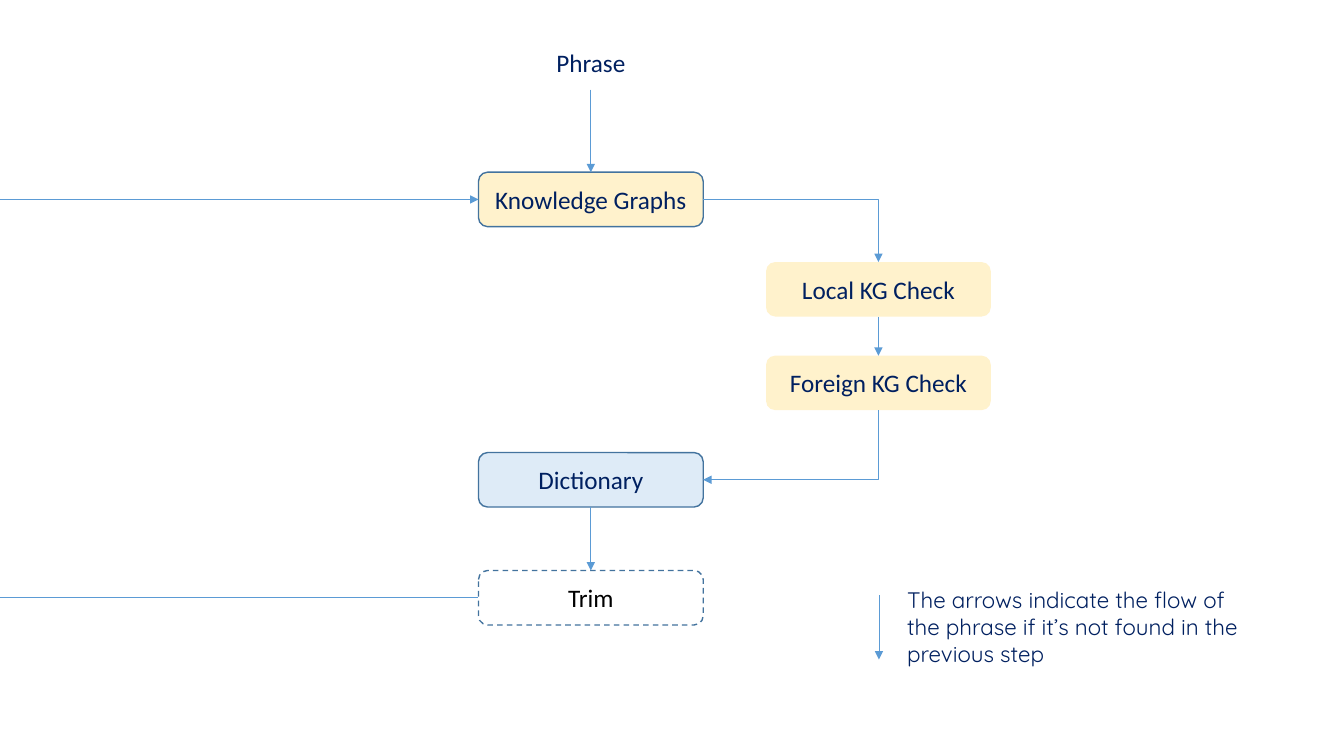
from collections import namedtuple

from lxml import etree
from pptx import Presentation
from pptx.dml.color import RGBColor
from pptx.enum.dml import MSO_LINE
from pptx.enum.shapes import MSO_CONNECTOR, MSO_SHAPE
from pptx.enum.text import MSO_ANCHOR, PP_ALIGN
from pptx.oxml.ns import qn
from pptx.util import Inches, Pt

ROUNDED, STRAIGHT, ELBOW = MSO_SHAPE.ROUNDED_RECTANGLE, MSO_CONNECTOR.STRAIGHT, MSO_CONNECTOR.ELBOW
SOLID, DASH, MIDDLE, CENTER = MSO_LINE.SOLID, MSO_LINE.DASH, MSO_ANCHOR.MIDDLE, PP_ALIGN.CENTER
NAVY, BLACK = RGBColor(0x00, 0x20, 0x60), RGBColor(0, 0, 0)
CREAM, PALE_BLUE = RGBColor(0xFF, 0xF2, 0xCC), RGBColor(0xDE, 0xEB, 0xF7)
OUTLINE, ARROW = RGBColor(0x43, 0x73, 0x9E), RGBColor(0x5B, 0x9B, 0xD5)

Box = namedtuple("Box", "left top width height")
Look = namedtuple("Look", "fill outline dash ink")

INPUT = Look(None, None, SOLID, NAVY)
GRAPH_STAGE = Look(CREAM, OUTLINE, SOLID, NAVY)
GRAPH_CHECK = Look(CREAM, None, SOLID, NAVY)
DICTIONARY_STAGE = Look(PALE_BLUE, OUTLINE, SOLID, NAVY)
RETRY_STAGE = Look(None, OUTLINE, DASH, BLACK)

TOP, LEFT, BOTTOM, RIGHT = range(4)
TO_START, TO_END = "a:headEnd", "a:tailEnd"
GRID = 100
MAIN_COLUMN, SIDE_COLUMN = 35.6, 57
STEP_COLUMNS, STEP_ROWS = 16.72, 7.2
STEPS = [
    ("Phrase", MAIN_COLUMN, 4.65, INPUT),
    ("Knowledge Graphs", MAIN_COLUMN, 22.78, GRAPH_STAGE),
    ("Local KG Check", SIDE_COLUMN, 34.67, GRAPH_CHECK),
    ("Foreign KG Check", SIDE_COLUMN, 47.05, GRAPH_CHECK),
    ("Dictionary", MAIN_COLUMN, 59.87, DICTIONARY_STAGE),
    ("Trim", MAIN_COLUMN, 75.47, RETRY_STAGE),
]
FLOWS = [
    ("Phrase", BOTTOM, "Knowledge Graphs", TOP, STRAIGHT, TO_END),
    ("Knowledge Graphs", RIGHT, "Local KG Check", TOP, ELBOW, TO_END),
    ("Local KG Check", BOTTOM, "Foreign KG Check", TOP, STRAIGHT, TO_END),
    ("Dictionary", RIGHT, "Foreign KG Check", BOTTOM, ELBOW, TO_START),
    ("Dictionary", BOTTOM, "Trim", TOP, STRAIGHT, TO_END),
]
LEGEND = "The arrows indicate the flow of the phrase if it\u2019s not found in the previous step"


def cell(box, column, row, columns=0, rows=0):
    """Return the box covering the given columns and rows of a box's grid."""
    return Box(
        box.left + round(box.width * column / GRID),
        box.top + round(box.height * row / GRID),
        round(box.width * columns / GRID),
        round(box.height * rows / GRID),
    )


def add_run(paragraph, wording, font, size, color):
    """Add one formatted run to a paragraph."""
    run = paragraph.add_run()
    run.text = wording
    run.font.name, run.font.size = font, Pt(size)
    run.font.color.rgb = color


def paint(fill, color):
    """Give a fill one solid colour, or none."""
    if color is None:
        fill.background()
    else:
        fill.solid()
        fill.fore_color.rgb = color


def add_step(slide, box, wording, look):
    """Draw one step of the lookup, filling the box."""
    step = slide.shapes.add_shape(ROUNDED, *box)
    step.shadow.inherit = False
    paint(step.fill, look.fill)
    paint(step.line.fill, look.outline)
    step.line.width, step.line.dash_style = Pt(1), look.dash
    step.text_frame.vertical_anchor = MIDDLE
    paragraph = step.text_frame.paragraphs[0]
    paragraph.alignment = CENTER
    add_run(paragraph, wording, "Calibri", 18, look.ink)
    return step


def add_flow(slide, start, end, kind=STRAIGHT, arrowhead=TO_END):
    """Draw a line between two points, with an optional arrowhead."""
    flow = slide.shapes.add_connector(kind, *start, *end)
    flow.line.color.rgb = ARROW
    flow.line.width = Pt(0.5)
    properties = flow.element.spPr
    if arrowhead:
        etree.SubElement(properties.find(qn("a:ln")), qn(arrowhead), type="triangle")
    etree.SubElement(properties, qn("a:effectLst"))
    if kind == ELBOW:
        properties.find(qn("a:prstGeom")).set("prst", "bentConnector2")
    return flow


def site(step, side):
    """Return the middle of one side of a step."""
    across = {LEFT: 0, RIGHT: step.width}.get(side, step.width // 2)
    down = {TOP: 0, BOTTOM: step.height}.get(side, step.height // 2)
    return step.left + across, step.top + down


def draw_lookup(slide, box):
    """Draw the lookup steps, the flow between them and the retry loop."""
    steps = {
        wording: add_step(slide, cell(box, column, row, STEP_COLUMNS, STEP_ROWS), wording, look)
        for wording, column, row, look in STEPS
    }
    for source, source_side, target, target_side, kind, arrowhead in FLOWS:
        start, end = site(steps[source], source_side), site(steps[target], target_side)
        flow = add_flow(slide, start, end, kind, arrowhead)
        flow.begin_connect(steps[source], source_side)
        flow.end_connect(steps[target], target_side)
    for wording, arrowhead in (("Trim", None), ("Knowledge Graphs", TO_END)):
        entry = site(steps[wording], LEFT)
        retry = add_flow(slide, (box.left, entry[1]), entry, arrowhead=arrowhead)
        retry.end_connect(steps[wording], LEFT)


def draw_legend(slide, box):
    """Explain the arrows beside a sample arrow."""
    sample_start, sample_end = cell(box, 0, 15), cell(box, 0, 85)
    add_flow(slide, sample_start[:2], sample_end[:2])
    explanation = slide.shapes.add_textbox(*cell(box, 4.8, 0, 95.2, GRID)).text_frame
    explanation.word_wrap = True
    add_run(explanation.paragraphs[0], LEGEND, "Quicksand", 16, NAVY)


def main():
    """Build and save the phrase lookup slide."""
    deck = Presentation()
    deck.slide_width, deck.slide_height = Inches(13.33), Inches(7.5)
    slide = deck.slides.add_slide(deck.slide_layouts[6])
    page = Box(0, 0, deck.slide_width, deck.slide_height)
    draw_lookup(slide, page)
    draw_legend(slide, cell(page, 65.4, 76.93, 28.28, 12.13))
    deck.save("out.pptx")


main()
